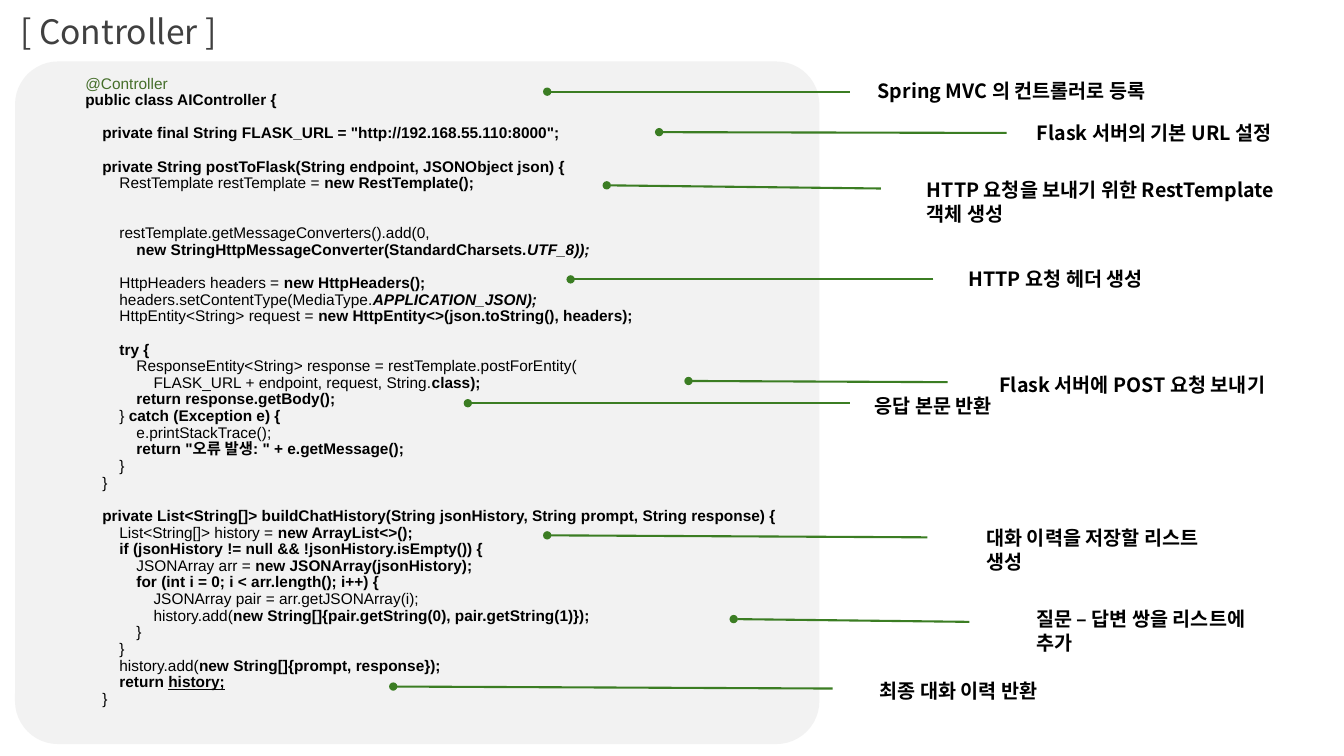
from typing import NamedTuple

from pptx import Presentation
from pptx import util as u
from pptx.dml.color import RGBColor
from pptx.enum import shapes, text
from pptx.oxml.ns import qn

BLACK = RGBColor(0x00, 0x00, 0x00)
DARK = RGBColor(0x40, 0x40, 0x40)
PALE = RGBColor(0xF2, 0xF2, 0xF2)
GREEN = RGBColor(0x3B, 0x7D, 0x23)
MOSS = RGBColor(0x45, 0x6E, 0x2A)

SANS = "Noto Sans CJK KR"
STEP = 0.43  # one level of code indent, in cm
PITCH = 11.87  # code line height, in points

CODE = {"name": "Arial", "size": u.Pt(11)}
NOTE = {"name": SANS, "size": u.Pt(14), "bold": True}
HEAD = {"name": SANS, "size": u.Pt(24)}


class Line(NamedTuple):
    """A code line: indent level, plain part, bold part, styled bold end, empty lines above."""
    level: int
    plain: str = ""
    bold: str = ""
    end: str = ""
    style: str = "italic"
    gap: int = 0
    tint: RGBColor = BLACK


class Note(NamedTuple):
    """A label at left, top, width, with a line from (x1, y1) to a dot at (x2, y2)."""
    words: str
    left: float
    top: float
    width: float
    x1: float
    y1: float
    x2: float
    y2: float


LINES = [
    Line(0, "@Controller", tint=MOSS),
    Line(0, bold="public class AIController {"),
    Line(1, bold='private final String FLASK_URL = "http://192.168.55.110:8000";', gap=1),
    Line(1, bold="private String postToFlask(String endpoint, JSONObject json) {", gap=1),
    Line(2, "RestTemplate restTemplate = ", "new RestTemplate();"),
    Line(2, "restTemplate.getMessageConverters().add(0,", gap=2),
    Line(3, bold="new StringHttpMessageConverter(StandardCharsets.", end="UTF_8));"),
    Line(2, "HttpHeaders headers = ", "new HttpHeaders();", gap=1),
    Line(2, "headers.setContentType(MediaType.", end="APPLICATION_JSON);"),
    Line(2, "HttpEntity<String> request = ", "new HttpEntity<>(json.toString(), headers);"),
    Line(2, bold="try {", gap=1),
    Line(3, "ResponseEntity<String> response = restTemplate.postForEntity("),
    Line(4, "FLASK_URL + endpoint, request, String.", "class);"),
    Line(3, bold="return response.getBody();"),
    Line(2, "} ", "catch (Exception e) {"),
    Line(3, "e.printStackTrace();"),
    Line(3, bold='return "오류 발생: " + e.getMessage();'),
    Line(2, "}"),
    Line(1, "}"),
    Line(1, bold="private List<String[]> buildChatHistory("
                 "String jsonHistory, String prompt, String response) {", gap=1),
    Line(2, "List<String[]> history = ", "new ArrayList<>();"),
    Line(2, bold="if (jsonHistory != null && !jsonHistory.isEmpty()) {"),
    Line(3, "JSONArray arr = ", "new JSONArray(jsonHistory);"),
    Line(3, bold="for (int i = 0; i < arr.length(); i++) {"),
    Line(4, "JSONArray pair = arr.getJSONArray(i);"),
    Line(4, "history.add(", "new String[]{pair.getString(0), pair.getString(1)});"),
    Line(3, "}"),
    Line(2, "}"),
    Line(2, "history.add(", "new String[]{prompt, response});"),
    Line(2, bold="return ", end="history;", style="underline"),
    Line(1, "}"),
]

NOTES = [
    Note("Spring MVC 의 컨트롤러로 등록", 21.87, 1.85, 7.98, 21.41, 2.31, 13.79, 2.31),
    Note("Flask 서버의 기본 URL 설정", 25.88, 2.92, 6.48, 25.37, 3.35, 16.61, 3.33),
    Note("HTTP 요청을 보내기 위한 RestTemplate 객체 생성",
         23.11, 4.34, 10.08, 22.2, 4.75, 15.29, 4.67),
    Note("HTTP 요청 헤더 생성", 24.16, 6.58, 6.48, 23.52, 7.04, 14.38, 7.04),
    Note("Flask 서버에 POST 요청 보내기", 24.94, 9.25, 7.98, 23.88, 9.63, 17.35, 9.6),
    Note("응답 본문 반환", 21.79, 9.8, 5.64, 21.41, 10.16, 11.79, 10.16),
    Note("대화 이력을 저장할 리스트 생성", 24.61, 13.11, 6.2, 23.37, 13.54, 13.79, 13.49),
    Note("질문 – 답변 쌍을 리스트에 추가", 25.86, 15.16, 6.2, 24.43, 15.67, 18.49, 15.6),
    Note("최종 대화 이력 반환", 21.92, 16.97, 5.64, 20.98, 17.35, 9.91, 17.3),
]


def add_frame(slide, left: float, top: float, width: float, height: float):
    frame = slide.shapes.add_textbox(*map(u.Cm, (left, top, width, height))).text_frame
    frame.word_wrap = True
    return frame


def add_run(para, words: str, tint: RGBColor, form: dict) -> None:
    run = para.add_run()
    run.text = words
    for key, value in form.items():
        setattr(run.font, key, value)
    run.font.color.rgb = tint
    east = run.font._element.makeelement(qn("a:ea"), {"typeface": SANS})
    run.font._element.append(east)


def draw_code(slide) -> None:
    panel = slide.shapes.add_shape(shapes.MSO_SHAPE.ROUNDED_RECTANGLE,
                                   *map(u.Cm, (0.38, 1.55, 20.27, 17.2)))
    panel.adjustments[0] = 0.063
    panel.shadow.inherit = False
    panel.fill.solid()
    panel.fill.fore_color.rgb = PALE
    panel.line.fill.background()

    frame = add_frame(slide, 1.9, 1.47, 18.21, 16.79)
    frame.vertical_anchor = text.MSO_ANCHOR.MIDDLE
    for i, line in enumerate(LINES):
        para = frame.add_paragraph() if i else frame.paragraphs[0]
        para.line_spacing = u.Pt(PITCH)
        para.space_before = u.Pt(PITCH * line.gap)
        para._p.get_or_add_pPr().set("marL", str(u.Cm(STEP * line.level)))
        parts = [(line.plain, {}), (line.bold, {"bold": True}),
                 (line.end, {"bold": True, line.style: True})]
        for words, extra in parts:
            if words:
                add_run(para, words, line.tint, CODE | extra)


def draw_note(slide, note: Note) -> None:
    link = slide.shapes.add_connector(
        shapes.MSO_CONNECTOR.STRAIGHT,
        *map(u.Cm, (note.x1, note.y1, note.x2, note.y2)))
    link.line.color.rgb = GREEN
    link.line.width = u.Pt(1.5)
    stroke = link.line._get_or_add_ln()
    stroke.append(stroke.makeelement(qn("a:tailEnd"), {"type": "oval"}))
    props = link._element.spPr
    props.append(props.makeelement(qn("a:effectLst"), {}))

    para = add_frame(slide, note.left, note.top, note.width, 0.86).paragraphs[0]
    para.line_spacing = u.Pt(17.1)
    add_run(para, note.words, BLACK, NOTE)


def draw_title(slide) -> None:
    frame = add_frame(slide, 0.51, -0.2, 5.23, 1.96)
    frame.vertical_anchor = text.MSO_ANCHOR.MIDDLE
    for side in ("left", "top", "right", "bottom"):
        setattr(frame, f"margin_{side}", 0)
    add_run(frame.paragraphs[0], "[ Controller ]", DARK, HEAD)


def main() -> None:
    deck = Presentation()
    deck.slide_width, deck.slide_height = u.Cm(33.87), u.Cm(19.05)
    slide = deck.slides.add_slide(deck.slide_layouts[6])
    draw_code(slide)
    for note in NOTES:
        draw_note(slide, note)
    draw_title(slide)
    deck.save("out.pptx")


if __name__ == "__main__":
    main()
